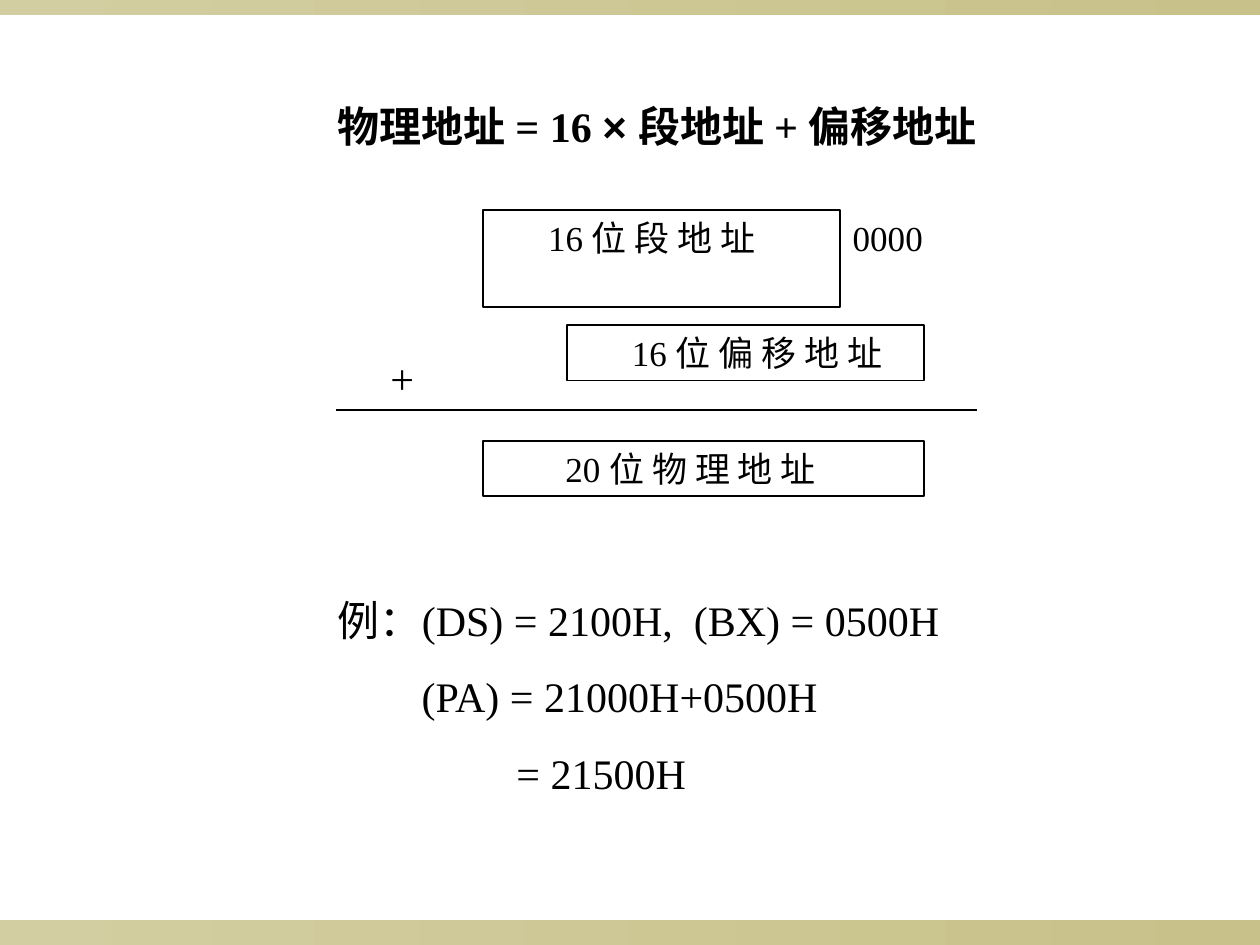
from pptx import Presentation
from pptx import util as u
from pptx.dml.color import RGBColor
from pptx.enum import shapes, text
from pptx.oxml import xmlchemy as xml

BLACK = RGBColor(0, 0, 0)
PALE = RGBColor(0xD3, 0xCE, 0xA1)
SAND = RGBColor(0xC8, 0xC1, 0x8A)
SERIF = "Times New Roman"
SANS = "Arial"
WIDE = 25.4
HIGH = 19.05
PAD = 0.25
ROW = 1.11
LEFT = 9.74


class Page:
    def __init__(self, slide):
        self.slide = slide

    def place(self, shape, *rect):
        shape.left, shape.top, shape.width, shape.height = map(u.Cm, rect)

    def style(self, para, size, bold=False):
        for run in para.runs:
            font = run.font
            font.name = SERIF
            font.size = u.Pt(size)
            font.bold = bold
            font.color.rgb = BLACK

    def frame(self, shape, indent=0.0, wrap=True):
        frame = shape.text_frame
        frame.word_wrap = wrap
        frame.auto_size = text.MSO_AUTO_SIZE.NONE
        frame.vertical_anchor = text.MSO_ANCHOR.TOP
        frame.margin_left = u.Cm(PAD + indent)
        return frame

    def bar(self, top, height):
        bar = self.slide.shapes.add_shape(
            shapes.MSO_SHAPE.RECTANGLE, 0, u.Cm(top), u.Cm(WIDE), u.Cm(height))
        bar.shadow.inherit = False
        bar.line.fill.background()
        bar.fill.gradient()
        bar.fill.gradient_angle = 0
        for stop, color in zip(bar.fill.gradient_stops, (PALE, SAND)):
            stop.color.rgb = color

    def title(self, parts, *rect):
        shape = self.slide.shapes.title
        self.place(shape, *rect)
        para = self.frame(shape).paragraphs[0]
        para.alignment = text.PP_ALIGN.LEFT
        for part in parts:
            para.add_run().text = part
        self.style(para, 24, True)
        para.runs[1].font.name = SANS

    def body(self, lines, *rect):
        shape = self.slide.placeholders[1]
        self.place(shape, *rect)
        frame = self.frame(shape)
        frame.text = "\n".join(line for line, _ in lines)
        for num, (para, (_, indent)) in enumerate(zip(frame.paragraphs, lines)):
            props = para._p.get_or_add_pPr()
            props.set("marL", str(u.Cm(indent)))
            props.set("indent", "0")
            props.append(xml.OxmlElement("a:buNone"))
            para.space_before = u.Pt(15 if num else 0)
            self.style(para, 24)

    def label(self, words, *rect, size=20, indent=0.0, wrap=True):
        shape = self.slide.shapes.add_textbox(*map(u.Cm, rect))
        frame = self.frame(shape, indent, wrap)
        frame.text = words
        self.style(frame.paragraphs[0], size)

    def box(self, words, *rect, indent):
        shape = self.slide.shapes.add_shape(
            shapes.MSO_SHAPE.RECTANGLE, *map(u.Cm, rect))
        shape.shadow.inherit = False
        shape.fill.background()
        shape.line.color.rgb = BLACK
        shape.line.width = u.Pt(1)
        frame = self.frame(shape, indent)
        frame.text = words
        para = frame.paragraphs[0]
        para.alignment = text.PP_ALIGN.LEFT
        self.style(para, 20)

    def rule(self, left, right, top):
        line = self.slide.shapes.add_connector(
            shapes.MSO_CONNECTOR.STRAIGHT,
            u.Cm(left), u.Cm(top), u.Cm(right), u.Cm(top))
        line.line.color.rgb = BLACK
        line.line.width = u.Pt(1)
        line._element.spPr.append(xml.OxmlElement("a:effectLst"))


def main():
    deck = Presentation()
    deck.slide_width, deck.slide_height = u.Cm(WIDE), u.Cm(HIGH)
    page = Page(deck.slides.add_slide(deck.slide_layouts[1]))
    page.bar(HIGH - 0.51, 0.51)
    page.bar(0, 0.3)
    page.title(("物理地址 = 16 ", "× ", "段地址 + 偏移地址"),
               6.56, 1.9, 14.4, 1.27)
    page.box("16 位 段 地 址", LEFT, 4.23, 7.2, 1.96, indent=1.06)
    page.box("16 位 偏 移 地 址", 11.43, 6.56, 7.2, ROW, indent=1.06)
    page.label("0000", 14.82, 4.23, 4.66, ROW, indent=2.12)
    page.rule(6.77, 19.69, 8.26)
    page.label("+", 7.62, 6.99, 0.99, 1.27, size=24, wrap=False)
    page.box("20 位 物 理 地 址", LEFT, 8.89, 8.89, ROW, indent=1.41)
    page.body((("例：(DS) = 2100H,  (BX) = 0500H", 0),
               ("(PA) = 21000H+0500H", 1.69),
               ("= 21500H", 3.6)),
              6.56, 11.85, 14.82, 4.37)
    deck.save("out.pptx")


if __name__ == "__main__":
    main()
